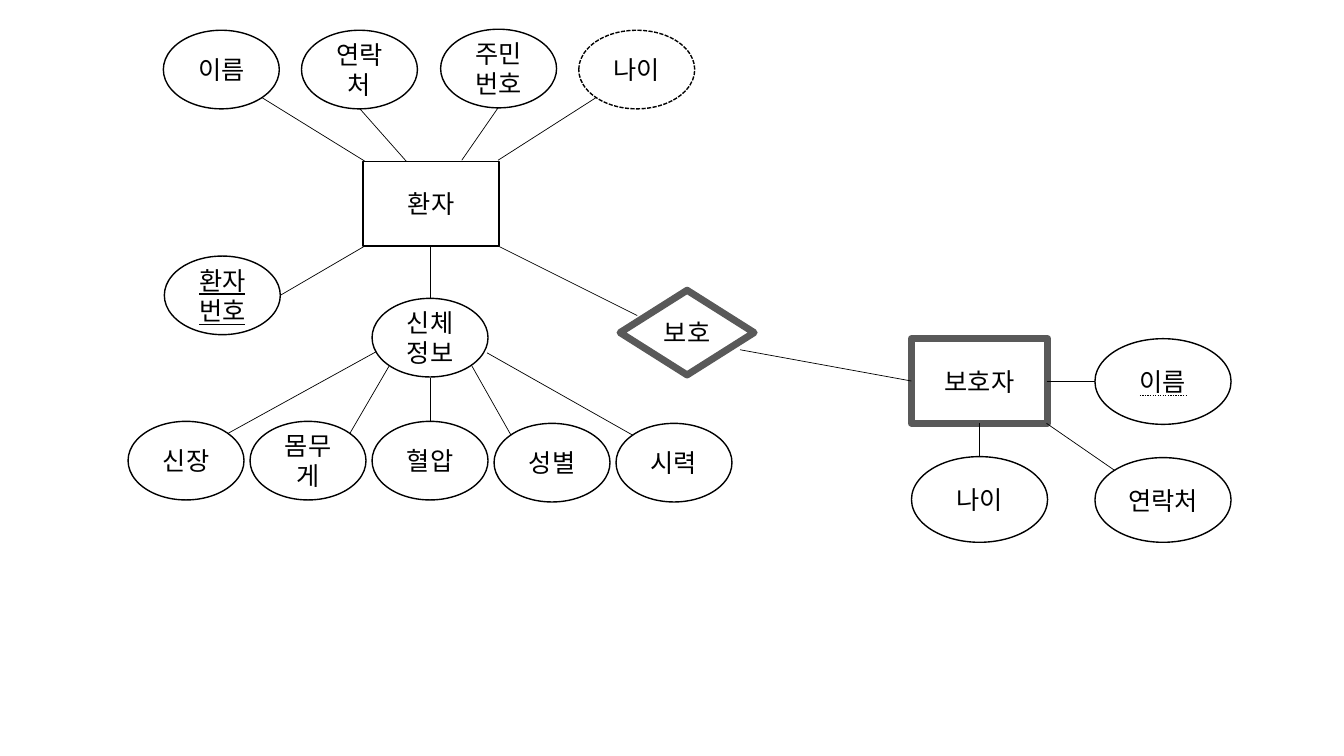
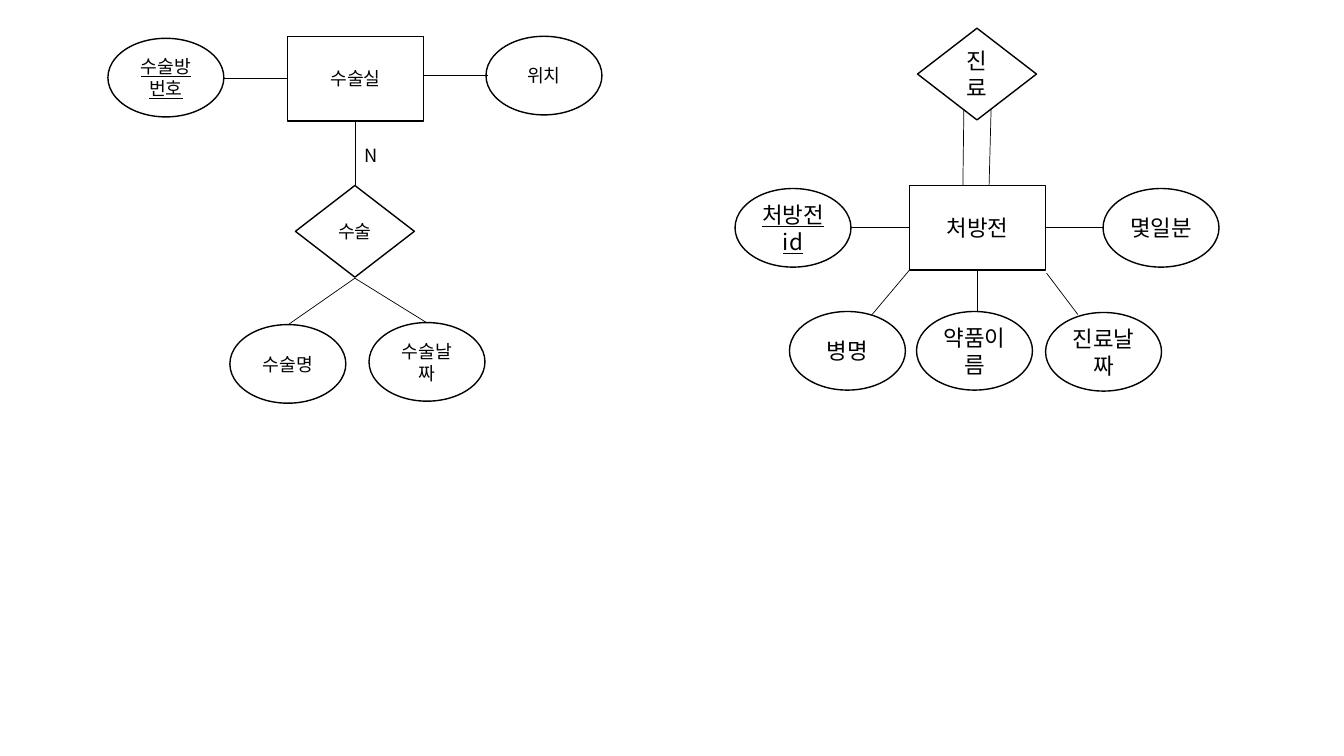
from pptx import Presentation
from pptx.dml.color import RGBColor
from pptx.enum.dml import MSO_LINE_DASH_STYLE as DASH
from pptx.enum.shapes import MSO_CONNECTOR as CONN, MSO_SHAPE as SHAPE
from pptx.enum.text import MSO_ANCHOR as ANCHOR, MSO_UNDERLINE as UNDER, PP_ALIGN as ALIGN
from pptx.oxml.ns import qn
from pptx.util import Inches, Pt
from lxml.etree import SubElement

COLORS = {"ink": "000000", "paper": "FFFFFF", "weak": "595959"}
FONT = "Noto Sans CJK KR"


def rgb(name):
    return RGBColor.from_string(COLORS[name])


class Diagram:
    def __init__(self, prs):
        self.prs = prs
        self.size = 18

    def new_slide(self):
        self.s = self.prs.slides.add_slide(self.prs.slide_layouts[6])

    def set_text(self, tf, text, underline=None):
        tf.text = text
        tf.word_wrap = True
        r = tf.paragraphs[0].runs[0]
        r.font.size = Pt(self.size)
        r.font.color.rgb = rgb("ink")
        r.font.underline = underline
        r.font.name = FONT
        SubElement(r.font._element, qn("a:ea")).set("typeface", FONT)

    def node(self, kind, text, x, y, w, h, underline=None, weak=False, filled=True):
        sp = self.s.shapes.add_shape(kind, Inches(x), Inches(y), Inches(w), Inches(h))
        sp.shadow.inherit = False
        if filled:
            sp.fill.solid()
            sp.fill.fore_color.rgb = rgb("paper")
        else:
            sp.fill.background()
        sp.line.color.rgb = rgb("weak" if weak else "ink")
        sp.line.width = Pt(5 if weak else 1)
        tf = sp.text_frame
        self.set_text(tf, text, underline)
        tf.vertical_anchor = ANCHOR.MIDDLE
        tf.paragraphs[0].alignment = ALIGN.CENTER
        return sp

    def entity(self, text, x, y, weak=False):
        return self.node(SHAPE.RECTANGLE, text, x, y, 1.35, 0.84, weak=weak)

    def relation(self, text, x, y, w=1.18, h=0.91, weak=False):
        return self.node(SHAPE.DIAMOND, text, x, y, w, h, weak=weak, filled=weak)

    def attribute(self, text, x, y, w=1.15, h=0.78, underline=None):
        sp = self.node(SHAPE.OVAL, text, x, y, w, h, underline)
        sp.text_frame.margin_left = sp.text_frame.margin_right = Inches(0.09)
        return sp

    def links(self, *ends):
        for x1, y1, x2, y2 in ends:
            c = self.s.shapes.add_connector(
                CONN.STRAIGHT, Inches(x1), Inches(y1), Inches(x2), Inches(y2))
            c.line.color.rgb = rgb("ink")
            c.line.width = Pt(0.5)
            SubElement(c._element.spPr, qn("a:effectLst"))

    def label(self, text, x, y, w, h):
        sp = self.s.shapes.add_textbox(Inches(x), Inches(y), Inches(w), Inches(h))
        self.set_text(sp.text_frame, text)


def patient_slide(d):
    d.new_slide()
    d.size = 18
    d.entity("환자", 3.6, 1.6)
    d.attribute("이름", 1.62, 0.3)
    d.attribute("연락처", 2.99, 0.3)
    d.attribute("주민번호", 4.37, 0.29)
    age = d.attribute("나이", 5.74, 0.3)
    age.line.dash_style = DASH.SQUARE_DOT
    d.attribute("환자번호", 1.63, 2.54, underline=True)
    d.attribute("신체정보", 3.69, 2.96)
    for i, text in enumerate(["신장", "몸무게", "혈압", "성별", "시력"]):
        d.attribute(text, 1.27 + 1.21 * i, 4.18 if i < 3 else 4.2)
    d.links((2.6, 0.97, 3.62, 1.6), (3.57, 1.08, 4.03, 1.6),
            (4.94, 1.07, 4.58, 1.59), (5.91, 0.97, 4.94, 1.59),
            (3.62, 2.44, 2.78, 2.93), (4.27, 2.44, 4.27, 2.96),
            (3.73, 3.49, 2.26, 4.3), (3.86, 3.63, 3.47, 4.3),
            (4.27, 3.75, 4.27, 4.18), (4.68, 3.63, 5.07, 4.32),
            (4.83, 3.5, 6.28, 4.32))

    d.relation("보호", 6.15, 2.88, 1.33, 0.84, weak=True)
    d.entity("보호자", 9.04, 3.36, weak=True)
    d.attribute("이름", 10.86, 3.36, 1.35, 0.85, UNDER.DOTTED_LINE)
    d.attribute("나이", 9.04, 4.53, 1.35, 0.85)
    d.attribute("연락처", 10.86, 4.54, 1.35, 0.84)
    d.links((4.94, 2.44, 6.32, 3.13), (7.34, 3.47, 9.04, 3.78),
            (10.38, 3.78, 10.86, 3.78), (9.71, 4.2, 9.71, 4.53),
            (10.38, 4.2, 11.06, 4.67))


def treatment_slide(d):
    d.new_slide()
    d.size = 16
    d.relation("진료", 9.1, 0.28)
    d.entity("처방전", 9.02, 1.84)
    d.attribute("처방전id", 7.29, 1.87, underline=True)
    d.attribute("몇일분", 10.94, 1.87)
    d.attribute("병명", 7.83, 3.09)
    d.attribute("약품이름", 9.09, 3.09)
    d.attribute("진료날짜", 10.37, 3.1)
    d.links((9.55, 1.84, 9.56, 1.08), (9.81, 1.84, 9.83, 1.08),
            (9.02, 2.26, 8.44, 2.26), (10.37, 2.26, 10.94, 2.26),
            (9.02, 2.68, 8.65, 3.12), (9.69, 2.68, 9.69, 3.09),
            (10.38, 2.71, 10.69, 3.12))

    d.size = 13
    d.entity("수술실", 2.85, 0.36)
    d.attribute("수술방번호", 1.07, 0.38, underline=True)
    d.attribute("위치", 4.82, 0.36)
    d.relation("수술", 2.93, 1.84)
    d.attribute("수술명", 2.28, 3.22)
    d.attribute("수술날짜", 3.66, 3.2)
    d.links((2.22, 0.78, 2.85, 0.78), (4.21, 0.75, 4.84, 0.75),
            (3.52, 1.84, 3.52, 1.2), (2.86, 3.22, 3.52, 2.76),
            (4.23, 3.2, 3.52, 2.76))
    d.label("N", 3.52, 1.38, 0.42, 0.32)


prs = Presentation()
prs.slide_width = Inches(13.33)
prs.slide_height = Inches(7.5)
d = Diagram(prs)
patient_slide(d)
treatment_slide(d)
prs.save("out.pptx")
